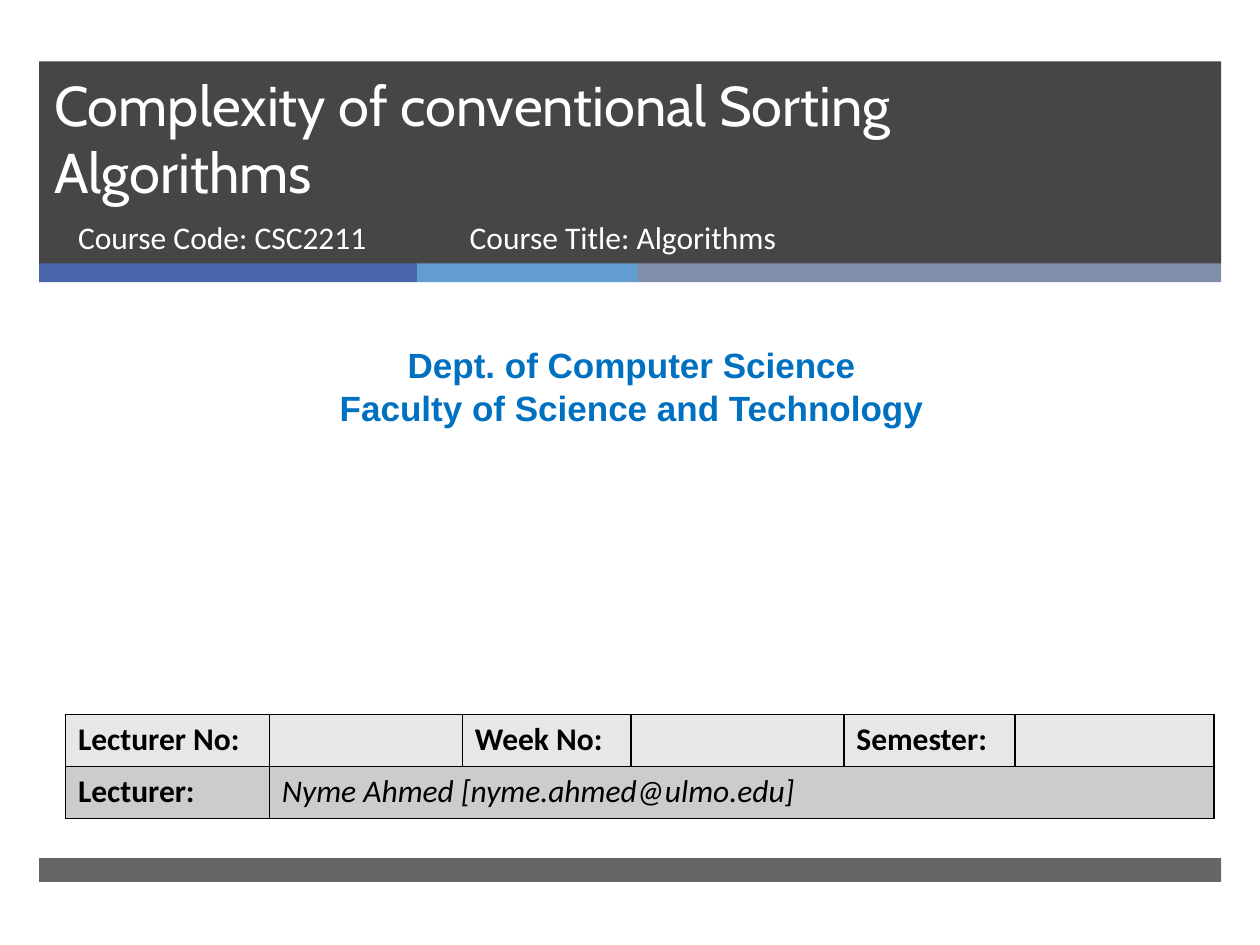
from itertools import accumulate

from lxml import etree
from pptx import Presentation
from pptx import util as u
from pptx.dml import color
from pptx.enum import shapes, text
from pptx.oxml import ns

COLORS = {
    "dark": "262626",
    "indigo": "4A66AC",
    "sky": "629DD1",
    "slate": "7F8FA9",
    "white": "FFFFFF",
    "blue": "0070C0",
    "black": "000000",
    "light_row": "E7E7E7",
    "dark_row": "CCCCCC",
}


def rgb(name):
    return color.RGBColor.from_string(COLORS[name])


def write(frame, *lines, size=18, font="Calibri", ink="white", bold=False,
          italic=False, align=text.PP_ALIGN.LEFT, anchor=text.MSO_ANCHOR.TOP):
    frame.word_wrap = True
    frame.vertical_anchor = anchor
    for number, line in enumerate(lines):
        paragraph = frame.add_paragraph() if number else frame.paragraphs[0]
        paragraph.alignment = align
        paragraph.space_before = u.Pt(0)
        run = paragraph.add_run()
        run.text = line
        run.font.size = u.Pt(size)
        run.font.name = font
        run.font.bold = bold
        run.font.italic = italic
        run.font.color.rgb = rgb(ink)


class CoverSlide:
    border_width = u.Pt(1)

    def __init__(self, deck):
        self.slide = deck.slides.add_slide(deck.slide_layouts[0])

    def band(self, left, top, width, height, fill, opacity=100):
        bar = self.slide.shapes.add_shape(
            shapes.MSO_SHAPE.RECTANGLE, *map(u.Cm, (left, top, width, height)))
        bar.shadow.inherit = False
        bar.line.fill.background()
        bar.fill.solid()
        bar.fill.fore_color.rgb = rgb(fill)
        if opacity < 100:
            tint = bar.element.spPr.find(".//" + ns.qn("a:srgbClr"))
            etree.SubElement(tint, ns.qn("a:alpha"), val=str(opacity * 1000))

    def placeholder(self, index, box, line, **style):
        holder = self.slide.placeholders[index]
        holder.left, holder.top, holder.width, holder.height = map(u.Cm, box)
        holder.text_frame.auto_size = text.MSO_AUTO_SIZE.NONE
        write(holder.text_frame, line, **style)
        holder.element.getparent().append(holder.element)

    def label(self, box, *lines, **style):
        frame = self.slide.shapes.add_textbox(*map(u.Cm, box)).text_frame
        write(frame, *lines, **style)

    def cell_style(self, cell, fill):
        cell.fill.solid()
        cell.fill.fore_color.rgb = rgb(fill)
        properties = cell._tc.get_or_add_tcPr()
        for position, side in enumerate(("lnL", "lnR", "lnT", "lnB")):
            edge = etree.Element(ns.qn("a:" + side), w=str(self.border_width))
            paint = etree.SubElement(edge, ns.qn("a:solidFill"))
            etree.SubElement(paint, ns.qn("a:srgbClr"), val=COLORS["black"])
            properties.insert(position, edge)

    def table(self, left, top, widths, row_height, rows, fills):
        grid = self.slide.shapes.add_table(
            len(rows), len(widths), u.Cm(left), u.Cm(top),
            u.Cm(sum(widths)), u.Cm(row_height * len(rows))).table
        grid.first_row = grid.horz_banding = False
        for column, width in zip(grid.columns, widths):
            column.width = u.Cm(width)
        for r, (entries, fill) in enumerate(zip(rows, fills)):
            grid.rows[r].height = u.Cm(row_height)
            for c in range(len(widths)):
                self.cell_style(grid.cell(r, c), fill)
            for c, (entry, style) in entries.items():
                write(grid.cell(r, c).text_frame, entry, ink="black", **style)
        return grid


deck = Presentation()
deck.slide_width, deck.slide_height = u.Cm(25.4), u.Cm(19.05)
cover = CoverSlide(deck)

margin, full_width = 0.79, 23.83
cover.band(margin, 1.24, full_width, 4.09, "dark", opacity=85)
stripe_widths = (7.62, 4.45, 11.76)
stripe_lefts = accumulate(stripe_widths[:-1], initial=margin)
for left, width, fill in zip(stripe_lefts, stripe_widths, ("indigo", "sky", "slate")):
    cover.band(left, 5.31, width, 0.38, fill)
cover.band(margin, 17.3, full_width, 0.48, "dark", opacity=70)

cover.placeholder(0, (0.84, 1.24, 21.69, 3.02),
                  "Complexity of conventional Sorting Algorithms",
                  size=32, font="Cabin", anchor=text.MSO_ANCHOR.BOTTOM)
cover.placeholder(1, (1.32, 4.27, 7.75, 1.35), "Course Code: CSC2211")
cover.label((0.2, 6.81, 25.07, 1.96),
            "Dept. of Computer Science", "Faculty of Science and Technology",
            size=20, font="Arial", ink="blue", bold=True,
            align=text.PP_ALIGN.CENTER)

heading, person = {"bold": True}, {"italic": True}
lecture = cover.table(
    1.32, 14.4, (4.11, 3.89, 3.4, 4.29, 3.45, 4.01), 1.05,
    [{0: ("Lecturer No:", heading), 2: ("Week No:", heading), 4: ("Semester:", heading)},
     {0: ("Lecturer:", heading), 1: ("Nyme Ahmed [nyme.ahmed@ulmo.edu]", person)}],
    ("light_row", "dark_row"))
lecture.cell(1, 1).merge(lecture.cell(1, 5))

cover.label((9.22, 4.27, 11.56, 1.35), "Course Title: Algorithms")

deck.save("out.pptx")
